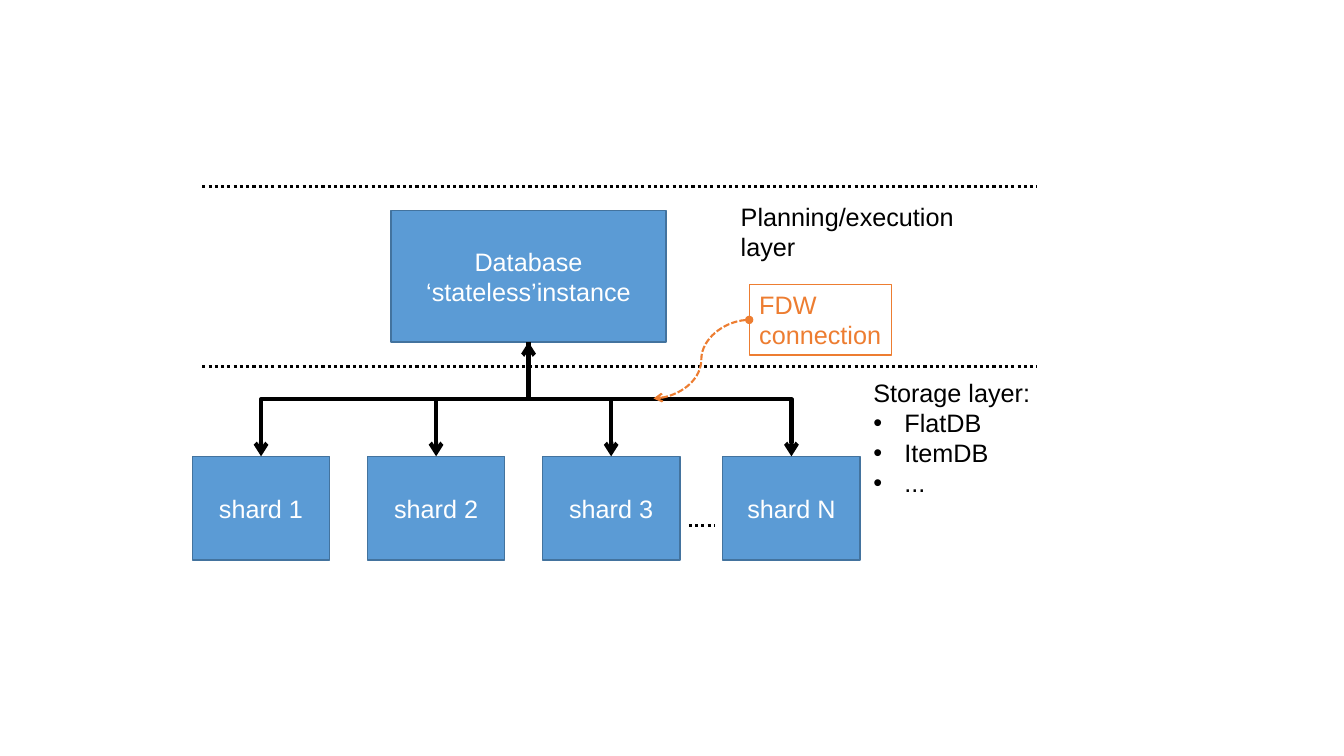
from lxml import etree
from pptx import Presentation
from pptx import util as u
from pptx.dml.color import RGBColor
from pptx.enum import dml, shapes, text
from pptx.oxml.ns import qn

BLACK = RGBColor(0x00, 0x00, 0x00)
WHITE = RGBColor(0xFF, 0xFF, 0xFF)
BLUE = RGBColor(0x5B, 0x9B, 0xD5)
DARK_BLUE = RGBColor(0x43, 0x73, 0x9E)
ORANGE = RGBColor(0xED, 0x7D, 0x31)

COLUMNS, ROWS = 80, 45
BULLET_INDENT = u.Inches(0.31)
TOP, BOTTOM, LEFT = 0, 2, 1  # connection sites of a rectangle


def write(shape, lines, color=BLACK, size=18, font="Arial", wrap=True,
          align=text.PP_ALIGN.LEFT, anchor=text.MSO_ANCHOR.TOP, bullets_from=None):
    """Fill a shape with paragraphs; those from index bullets_from on get a bullet."""
    frame = shape.text_frame
    frame.text = "\n".join(lines)
    frame.word_wrap = wrap
    frame.vertical_anchor = anchor
    frame.auto_size = (text.MSO_AUTO_SIZE.NONE if wrap
                       else text.MSO_AUTO_SIZE.SHAPE_TO_FIT_TEXT)
    for index, paragraph in enumerate(frame.paragraphs):
        paragraph.alignment = align
        paragraph.space_before = u.Pt(0)
        paragraph.font.size = u.Pt(size)
        for run in paragraph.runs:
            run.font.name = font
            run.font.size = u.Pt(size)
            run.font.color.rgb = color
        if bullets_from is not None:
            bulleted = index >= bullets_from
            properties = paragraph._p.get_or_add_pPr()
            indent = BULLET_INDENT if bulleted else 0
            properties.set("marL", str(indent))
            properties.set("indent", str(-indent))
            if bulleted:
                etree.SubElement(properties, qn("a:buFont"), typeface=font)
                etree.SubElement(properties, qn("a:buChar"), char="•")
            else:
                etree.SubElement(properties, qn("a:buNone"))


class Diagram:
    """Draws on one slide; all lengths are columns and rows of the grid."""

    def __init__(self, deck):
        self.column = deck.slide_width / COLUMNS
        self.row = deck.slide_height / ROWS
        self.slide = deck.slides.add_slide(deck.slide_layouts[1])
        heading = self.slide.shapes.title._element
        heading.getparent().remove(heading)

    def grid(self, *lengths):
        """Turn alternating columns and rows into slide lengths."""
        return [round(length * (self.row if i % 2 else self.column))
                for i, length in enumerate(lengths)]

    def box(self, place, lines, fill=None, border=DARK_BLUE, **style):
        box = self.slide.shapes.add_shape(shapes.MSO_SHAPE.RECTANGLE, *self.grid(*place))
        box.shadow.inherit = False
        if fill is None:
            box.fill.background()
        else:
            box.fill.solid()
            box.fill.fore_color.rgb = fill
        box.line.color.rgb = border
        box.line.width = u.Pt(1)
        write(box, lines, **style)
        return box

    def node(self, place, *lines):
        return self.box(place, lines, fill=BLUE, color=WHITE,
                        align=text.PP_ALIGN.CENTER, anchor=text.MSO_ANCHOR.MIDDLE)

    def label(self, place, *lines):
        write(self.slide.shapes.add_textbox(*self.grid(*place)), lines, wrap=False)

    def bullet_list(self, place, *lines):
        body = self.slide.placeholders[1]
        body.left, body.top, body.width, body.height = self.grid(*place)
        write(body, lines, wrap=False, bullets_from=1)

    def line(self, ends, kind=shapes.MSO_CONNECTOR.STRAIGHT, color=BLACK, width=2.25,
             dash=None, head=None, tail=None):
        line = self.slide.shapes.add_connector(kind, *self.grid(*ends))
        line.line.color.rgb = color
        line.line.width = u.Pt(width)
        if dash is not None:
            line.line.dash_style = dash
        outline = line.line._ln
        for tag, end in (("a:headEnd", head), ("a:tailEnd", tail)):
            if end:
                etree.SubElement(outline, qn(tag), type=end)
        etree.SubElement(line._element.spPr, qn("a:effectLst"))
        return line

    def dotted(self, left, right, row):
        self.line((left, row, right, row), dash=dml.MSO_LINE.ROUND_DOT)

    def branch(self, parent, child, head=None):
        """Elbow that leaves the parent downwards and enters the child from above."""
        elbow = self.line((0, 0, 1, 1), shapes.MSO_CONNECTOR.ELBOW, width=3,
                          head=head, tail="arrow")
        elbow.begin_connect(parent, BOTTOM)
        elbow.end_connect(child, TOP)
        x1, y1, x2, y2 = elbow.begin_x, elbow.begin_y, elbow.end_x, elbow.end_y
        # A quarter turn swaps the sides of the frame around its centre.
        elbow.width, elbow.height = y2 - y1, abs(x2 - x1)
        elbow.left = (x1 + x2 - elbow.width) // 2
        elbow.top = (y1 + y2 - elbow.height) // 2
        frame = elbow._element.spPr.find(qn("a:xfrm"))
        frame.set("rot", "5400000")
        frame.set("flipH", "0")
        frame.set("flipV", "1" if x2 > x1 else "0")


def main():
    deck = Presentation()
    deck.slide_width, deck.slide_height = u.Inches(13.33), u.Inches(7.5)
    diagram = Diagram(deck)

    planner = diagram.node((23.28, 12.54, 16.36, 7.82), "Database", "‘stateless’instance")

    first, step, last = 11.45, 10.42, 43.02
    shard_columns = [first + step * i for i in range(3)] + [last]
    shards = [diagram.node((column, 27.16, 8.18, 6.18), f"shard {number}")
              for column, number in zip(shard_columns, "123N")]
    for shard in shards:
        diagram.branch(planner, shard, head="arrow" if shard is shards[-1] else None)

    for layer_row in (21.82, 11.1):
        diagram.dotted(12.04, 61.7, layer_row)
    diagram.dotted(41, 42.56, 31.26)

    diagram.bullet_list((51.38, 22.14, 10.56, 7.8),
                        "Storage layer:", "FlatDB", "ItemDB", "...")
    diagram.label((43.5, 11.7, 17.52, 2.42), "Planning/execution layer")

    connection = diagram.box((44.6, 16.94, 8.46, 4.2), ("FDW", "connection"),
                             border=ORANGE, color=ORANGE, wrap=False)
    pointer = diagram.line((44.6, 19.04, 38.9, 23.72), shapes.MSO_CONNECTOR.CURVE,
                           color=ORANGE, width=1.5, dash=dml.MSO_LINE.SQUARE_DOT,
                           head="oval", tail="arrow")
    pointer.begin_connect(connection, LEFT)

    deck.save("out.pptx")


if __name__ == "__main__":
    main()
